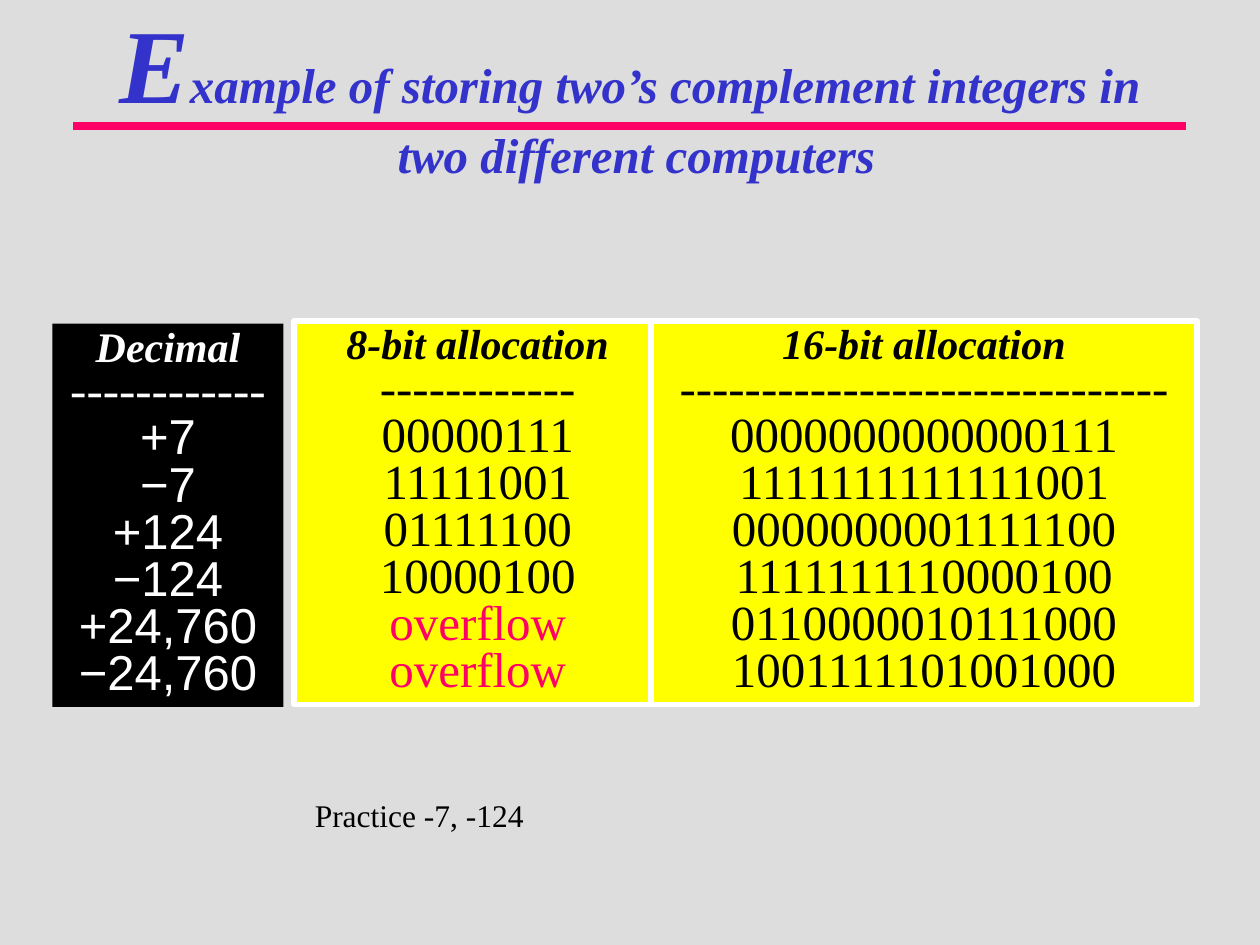
from dataclasses import dataclass
from lxml.etree import SubElement
from pptx import Presentation
from pptx.dml.color import RGBColor
from pptx.enum.shapes import MSO_CONNECTOR as Connector, MSO_SHAPE as Shape
from pptx.enum.text import MSO_ANCHOR as Anchor, PP_ALIGN as Align
from pptx.oxml.ns import qn
from pptx.util import Pt

SERIF, SANS = "Times New Roman", "Arial"
BLACK, WHITE, YELLOW = "000000", "FFFFFF", "FFFF00"
BLUE, PINK, GREY = "3333CC", "FF0066", "DDDDDD"


def rgb(value):
    return RGBColor.from_string(value)


@dataclass
class Board:
    """Draws styled elements on one slide, with lengths in points."""
    slide: object
    head_size: float = 24
    body_size: float = 28
    line_spacing: float = 0.8

    def style(self, font, size, color, face=SERIF, strong=False):
        font.name, font.size = face, Pt(size)
        font.bold = font.italic = strong
        font.color.rgb = rgb(color)

    def rule(self, left, right, y, color, width):
        rule = self.slide.shapes.add_connector(
            Connector.STRAIGHT, Pt(left), Pt(y), Pt(right), Pt(y))
        rule.line.color.rgb, rule.line.width = rgb(color), Pt(width)
        SubElement(rule._element.spPr, qn("a:effectLst"))

    def text_frame(self, *box, wrap=True):
        frame = self.slide.shapes.add_textbox(*map(Pt, box)).text_frame
        frame.word_wrap = wrap
        return frame

    def title(self, box, initial, rest, second_line):
        frame = self.text_frame(*box, wrap=False)
        first, second = frame.paragraphs[0], frame.add_paragraph()
        for line, text, size in ((first, initial, 60), (first, rest, 28),
                                 (second, second_line, 28)):
            line.alignment = Align.CENTER
            run = line.add_run()
            run.text = text
            self.style(run.font, size, BLUE, strong=True)

    def note(self, box, text):
        line = self.text_frame(*box).paragraphs[0]
        line.text = text
        self.style(line.font, 18, BLACK)

    def column(self, box, heading, dashes, values, fill, color,
               face=SERIF, border=None):
        panel = self.slide.shapes.add_shape(Shape.RECTANGLE, *map(Pt, box))
        panel.shadow.inherit = False
        panel.fill.solid()
        panel.fill.fore_color.rgb = rgb(fill)
        if border:
            panel.line.color.rgb, panel.line.width = rgb(border), Pt(3)
        else:
            panel.line.fill.background()
        frame = panel.text_frame
        frame.word_wrap, frame.vertical_anchor = True, Anchor.TOP
        for index, text in enumerate([heading, "-" * dashes, *values]):
            line = frame.add_paragraph() if index else frame.paragraphs[0]
            line.text = text
            line.alignment, line.line_spacing = Align.CENTER, self.line_spacing
            self.style(line.font,
                       self.body_size if index else self.head_size,
                       PINK if text == "overflow" else color,
                       face if index > 1 else SERIF, strong=index == 0)


def main():
    deck = Presentation()
    deck.slide_width, deck.slide_height = Pt(720), Pt(540)
    slide = deck.slides.add_slide(deck.slide_layouts[6])
    slide.background.fill.solid()
    slide.background.fill.fore_color.rgb = rgb(GREY)
    board = Board(slide)

    board.rule(42, 678, 72, PINK, 4.5)
    board.title((60.5, -4.3, 606.2, 113), "E",
                "xample of storing two’s complement integers in ",
                "two different computers")

    decimals = ["+7", "−7", "+124", "−124", "+24,760", "−24,760"]
    eight_bit = ["00000111", "11111001", "01111100", "10000100",
                 "overflow", "overflow"]
    sixteen_bit = ["0000000000000111", "1111111111111001",
                   "0000000001111100", "1111111110000100",
                   "0110000010111000", "1001111101001000"]
    board.column((30, 185, 132, 219), "Decimal", 12, decimals,
                 BLACK, WHITE, face=SANS)
    for left, width, heading, dashes, codes in (
            (168, 210, "8-bit allocation", 12, eight_bit),
            (372, 312, "16-bit allocation", 30, sixteen_bit)):
        board.column((left, 183.5, width, 219), heading, dashes, codes,
                     YELLOW, BLACK, border=WHITE)

    board.note((172.8, 451.5, 221, 29), "Practice -7, -124")
    deck.save("out.pptx")


if __name__ == "__main__":
    main()
